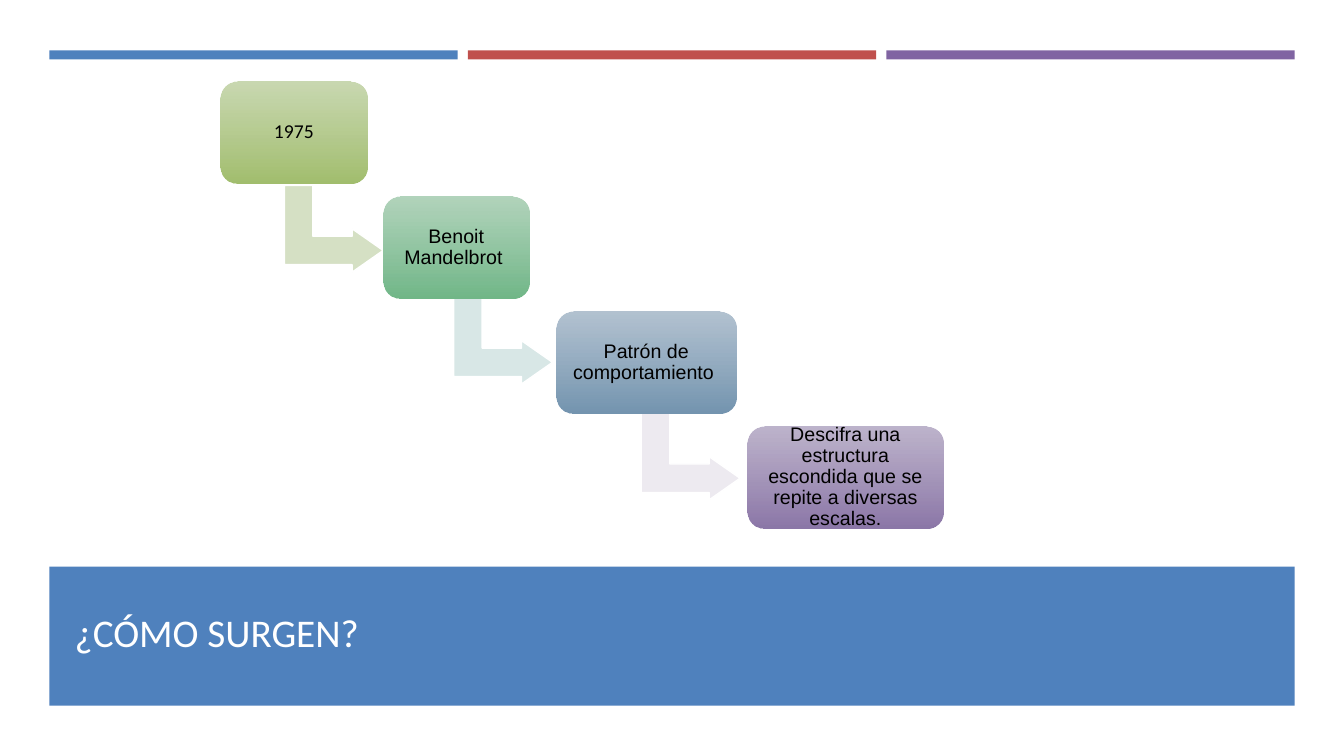
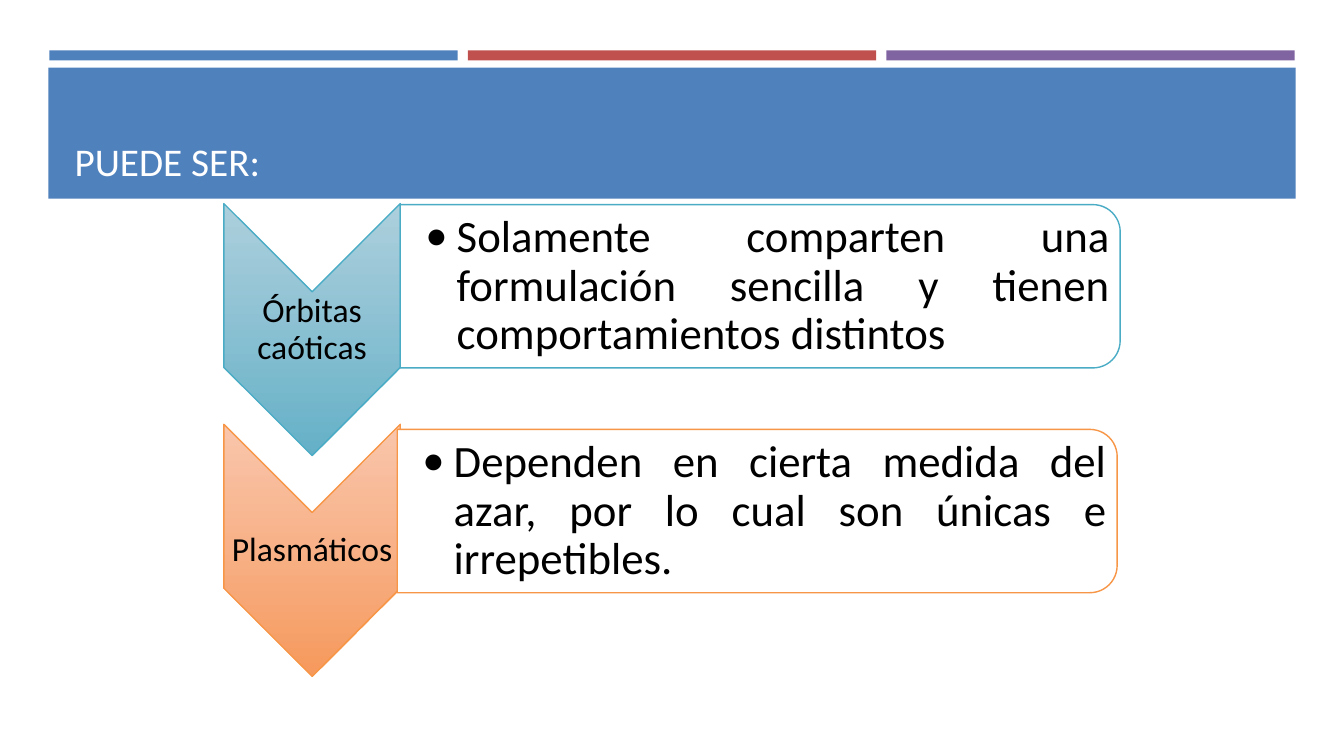
from dataclasses import dataclass, field
from lxml.etree import SubElement
from pptx import Presentation
from pptx.dml.color import RGBColor
from pptx.enum.shapes import MSO_SHAPE as Preset
from pptx.enum.text import MSO_ANCHOR as Anchor, MSO_AUTO_SIZE as AutoSize, PP_ALIGN as Align
from pptx.oxml.ns import qn
from pptx.shapes.autoshape import Shape
from pptx.slide import Slide
from pptx.text.text import TextFrame
from pptx.util import Inches, Pt


@dataclass(frozen=True)
class Theme:
    blue: str = "4F81BD"
    red: str = "C0504D"
    purple: str = "8064A2"
    white: str = "FFFFFF"
    black: str = "000000"
    teal: str = "4BACC6"
    orange: str = "F79646"
    font: str = "Calibri"
    card_font: str = "Arial"
    title_size: int = 28
    card_size: int = 14
    label_size: int = 24
    list_size: int = 32


THEME = Theme()


@dataclass(frozen=True)
class Box:
    left: float
    top: float
    width: float
    height: float

    def lengths(self) -> tuple:
        return tuple(Inches(v) for v in (self.left, self.top, self.width, self.height))

    def quarter_turned(self) -> "Box":
        shift = (self.width - self.height) / 2
        return Box(self.left + shift, self.top - shift, self.height, self.width)


@dataclass(frozen=True)
class Paint:
    start: str
    end: str = ""
    line: str = ""


@dataclass(frozen=True)
class TextStyle:
    size: int
    color: str = THEME.black
    font: str = THEME.font
    align: Align = Align.CENTER
    anchor: Anchor = Anchor.MIDDLE
    insets: tuple = (0.02, 0.02, 0.02, 0.02)
    spacing: float = 0.9


@dataclass(frozen=True)
class Step:
    text: str
    left: float
    width: float
    paint: Paint
    font: str = THEME.card_font


@dataclass(frozen=True)
class Arrow:
    left: float
    top: float
    color: str


@dataclass(frozen=True)
class Kind:
    label: str
    detail: str
    chevron_top: float
    panel_left: float
    panel_top: float
    paint: Paint = field(default_factory=lambda: Paint(THEME.white))


TITLE = TextStyle(THEME.title_size, THEME.white, align=Align.LEFT, anchor=Anchor.BOTTOM,
                  insets=(0.1, 0.05, 0.1, 0.05), spacing=1.0)
LABEL = TextStyle(THEME.label_size)
DETAIL = TextStyle(THEME.list_size, align=Align.JUSTIFY, insets=(0.25, 0.02, 0.02, 0.02))

STEPS = (
    Step("1975", 2.19, 1.45, Paint("C3D4A8", "A2BE6E"), THEME.font),
    Step("Benoit Mandelbrot ", 3.8, 1.45, Paint("A9CFB4", "71B788")),
    Step("Patrón de comportamiento ", 5.52, 1.78, Paint("AABBCB", "7495B0")),
    Step("Descifra una estructura escondida que se repite a diversas escalas.",
         7.41, 1.95, Paint("B6ABC6", "8C77A8")),
)
ARROWS = (
    Arrow(2.82, 1.84, "D5E0C4"),
    Arrow(4.5, 2.95, "D8E7E6"),
    Arrow(6.36, 4.1, "EDEAF0"),
)
KINDS = (
    Kind("Órbitas caóticas",
         "Solamente comparten una formulación sencilla y tienen comportamientos distintos",
         2.02, 3.97, 2.03, Paint("A4CBDA", "65B1C8", THEME.teal)),
    Kind("Plasmáticos",
         "Dependen en cierta medida del azar, por lo cual son únicas e irrepetibles.",
         4.21, 3.94, 4.26, Paint("FAC0A3", "F79A5D", THEME.orange)),
)


def rgb(color: str) -> RGBColor:
    return RGBColor.from_string(color)


def apply_paint(shape: Shape, paint: Paint) -> None:
    if paint.end:
        shape.fill.gradient()
        shape.fill.gradient_angle = 270
        for stop, color in zip(shape.fill.gradient_stops, (paint.start, paint.end)):
            stop.color.rgb = rgb(color)
        gradient = shape.element.spPr.find(qn("a:gradFill"))
        gradient.set("rotWithShape", "0")
        first_color = next(gradient.iter(qn("a:srgbClr")))
        SubElement(first_color, qn("a:alpha")).set("val", "90000")
    else:
        shape.fill.solid()
        shape.fill.fore_color.rgb = rgb(paint.start)
    if paint.line:
        shape.line.color.rgb = rgb(paint.line)
        shape.line.width = Pt(1)
    else:
        shape.line.fill.background()


def add_preset(slide: Slide, preset: Preset, box: Box, paint: Paint,
               turned: bool = False, adjustments: tuple = ()) -> Shape:
    frame = box.quarter_turned() if turned else box
    shape = slide.shapes.add_shape(preset, *frame.lengths())
    shape.shadow.inherit = False
    shape.rotation = 90 if turned else 0
    for index, value in enumerate(adjustments):
        shape.adjustments[index] = value
    apply_paint(shape, paint)
    return shape


def write(frame: TextFrame, text: str, style: TextStyle) -> None:
    frame.word_wrap = True
    frame.auto_size = AutoSize.NONE
    frame.vertical_anchor = style.anchor
    frame.margin_left, frame.margin_top, frame.margin_right, frame.margin_bottom = map(
        Inches, style.insets)
    paragraph = frame.paragraphs[0]
    paragraph.alignment = style.align
    paragraph.line_spacing = style.spacing
    paragraph.space_before = Pt(0)
    run = paragraph.add_run()
    run.text = text
    run.font.name = style.font
    run.font.size = Pt(style.size)
    run.font.color.rgb = rgb(style.color)


def fill_placeholder(placeholder: Shape, box: Box, text: str, style: TextStyle) -> None:
    placeholder.left, placeholder.top, placeholder.width, placeholder.height = box.lengths()
    write(placeholder.text_frame, text, style)
    placeholder.element.getparent().append(placeholder.element)


def add_bullet(frame: TextFrame) -> None:
    properties = frame.paragraphs[0]._p.get_or_add_pPr()
    properties.set("marL", str(Inches(0.31)))
    properties.set("indent", str(-Inches(0.31)))
    SubElement(properties, qn("a:buFont")).set("typeface", THEME.font)
    SubElement(properties, qn("a:buChar")).set("char", "•")


def start_slide(deck: Presentation, layout: int, title: str, band: Box,
                title_box: Box, stripe_height: float) -> Slide:
    slide = deck.slides.add_slide(deck.slide_layouts[layout])
    for column, color in enumerate((THEME.blue, THEME.red, THEME.purple)):
        add_preset(slide, Preset.RECTANGLE,
                   Box(0.49 + 4.15 * column, 0.5, 4.05, stripe_height), Paint(color))
    add_preset(slide, Preset.RECTANGLE, band, Paint(THEME.blue))
    fill_placeholder(slide.shapes.title, title_box, title, TITLE)
    return slide


def build_origin(deck: Presentation) -> None:
    slide = start_slide(deck, 5, "¿CÓMO SURGEN?", Box(0.49, 5.62, 12.35, 1.38),
                        Box(0.64, 5.76, 12.06, 0.79), 0.09)
    for arrow in ARROWS:
        add_preset(slide, Preset.BENT_UP_ARROW, Box(arrow.left, arrow.top, 0.98, 0.86),
                   Paint(arrow.color, line=THEME.white), True, (0.328, 0.25, 0.358))
    for row, step in enumerate(STEPS):
        card = add_preset(slide, Preset.ROUNDED_RECTANGLE,
                          Box(step.left, 0.81 + 1.14 * row, step.width, 1.01), step.paint)
        write(card.text_frame, step.text,
              TextStyle(THEME.card_size, font=step.font, insets=(0.06,) * 4))


def build_kinds(deck: Presentation) -> None:
    slide = start_slide(deck, 3, "PUEDE SER:", Box(0.48, 0.67, 12.37, 1.3),
                        Box(0.64, 0.77, 12.06, 1.11), 0.1)
    details = [p for p in slide.placeholders if p.placeholder_format.idx in (1, 2)]
    for kind, detail in zip(KINDS, details):
        add_preset(slide, Preset.CHEVRON, Box(2.22, kind.chevron_top, 1.75, 2.5),
                   kind.paint, True)
        label = slide.shapes.add_textbox(
            *Box(2.22, kind.chevron_top + 0.88, 1.75, 0.75).lengths())
        write(label.text_frame, kind.label, LABEL)
        add_preset(slide, Preset.ROUND_2_SAME_RECTANGLE,
                   Box(kind.panel_left, kind.panel_top, 7.14, 1.62),
                   Paint(THEME.white, line=kind.paint.line), True)
        fill_placeholder(detail, Box(kind.panel_left, kind.panel_top + 0.08, 7.06, 1.47),
                         kind.detail, DETAIL)
        add_bullet(detail.text_frame)


def main() -> None:
    deck = Presentation()
    deck.slide_width, deck.slide_height = Inches(13.33), Inches(7.5)
    build_origin(deck)
    build_kinds(deck)
    deck.save("out.pptx")


if __name__ == "__main__":
    main()
